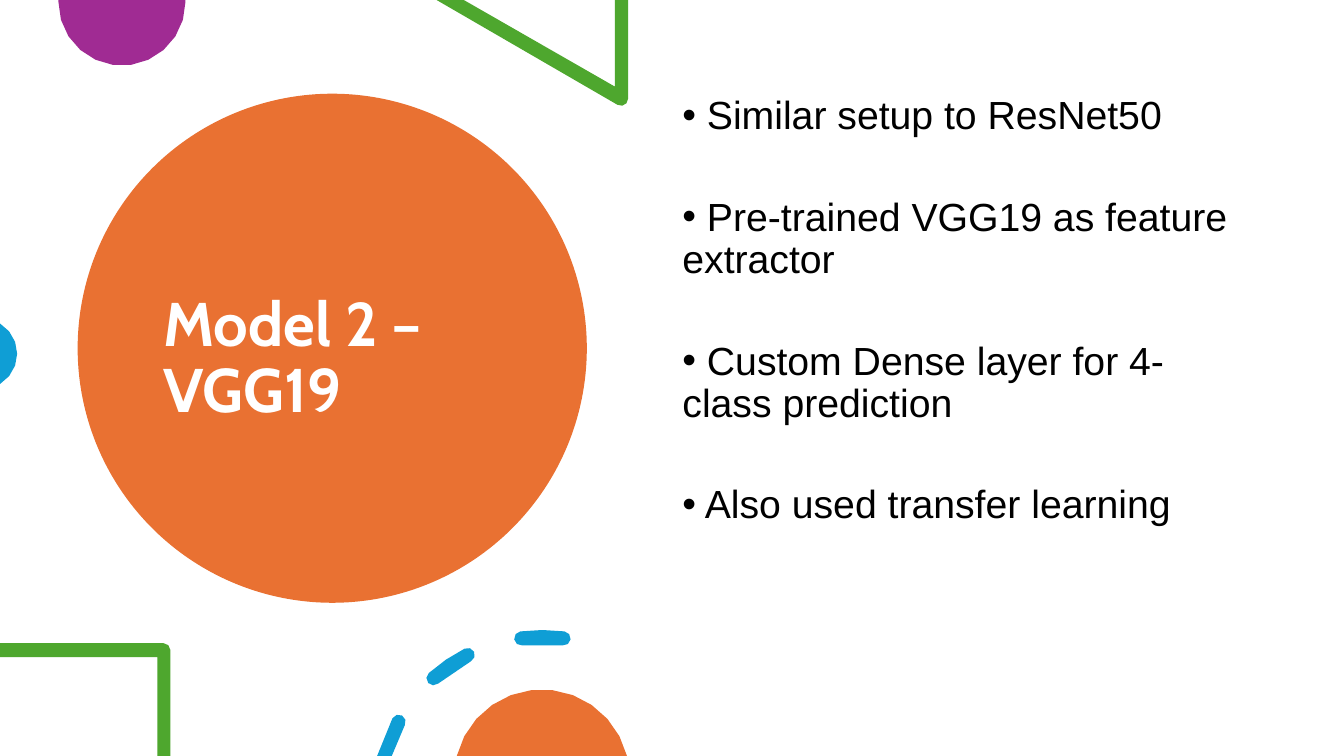
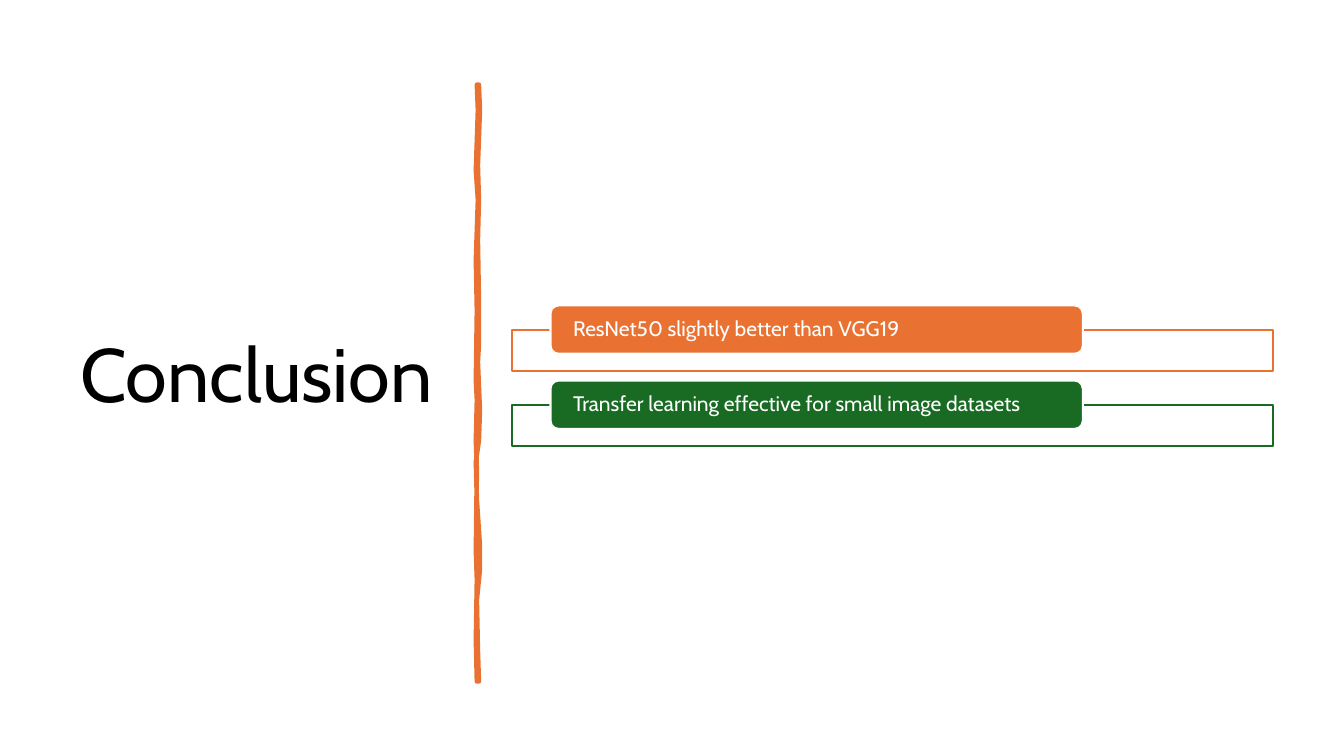
from dataclasses import dataclass
from math import acos, cos, degrees, radians, sin

from lxml.etree import SubElement
from pptx import Presentation
from pptx.dml.color import RGBColor
from pptx.enum.shapes import MSO_SHAPE as Preset
from pptx.enum.text import MSO_ANCHOR as Anchor, PP_ALIGN as Align
from pptx.oxml.ns import qn
from pptx.util import Inches, Pt


@dataclass(frozen=True)
class Theme:
    orange = RGBColor.from_string("E97132")
    green = RGBColor.from_string("4EA72E")
    forest = RGBColor.from_string("196B24")
    blue = RGBColor.from_string("0F9ED5")
    purple = RGBColor.from_string("A02B93")
    white = RGBColor.from_string("FFFFFF")
    black = RGBColor.from_string("000000")
    heading_font = "Cabin"
    body_font = "Arial"
    circle_title = Pt(44)
    plain_title = Pt(54)
    body = Pt(28)
    label = Pt(15)
    line_spacing = 0.9


theme = Theme()

# The slide is a grid of 1333 columns by 750 rows of square cells
COLUMNS, ROWS = 1333, 750
CELL = Inches(0.01)


def arc(center_x, center_y, radius, start, end):
    """Few points along a circle, within 0.6 cells of it; angles in degrees."""
    widest_step = degrees(2 * acos(1 - 0.6 / radius))
    steps = max(1, round(abs(end - start) / widest_step))
    angles = [radians(start + (end - start) * i / steps) for i in range(steps + 1)]
    return [(center_x + radius * cos(a), center_y - radius * sin(a)) for a in angles]


def write(shape, texts, font, size, color, bold=False, bullet=False, gap=0, inset=10):
    """Fill a shape with left-aligned paragraphs, one run each."""
    frame = shape.text_frame
    frame.word_wrap = True
    frame.margin_left = frame.margin_right = inset * CELL
    frame.margin_top = frame.margin_bottom = 5 * CELL
    frame.vertical_anchor = Anchor.TOP if bullet else Anchor.MIDDLE
    for index, text in enumerate(texts):
        paragraph = frame.paragraphs[0] if index == 0 else frame.add_paragraph()
        paragraph.alignment = Align.LEFT
        paragraph.line_spacing = theme.line_spacing
        if index:
            paragraph.space_before = Pt(gap)
        if bullet:
            properties = paragraph._p.get_or_add_pPr()
            SubElement(properties, qn("a:buFont")).set("typeface", theme.body_font)
            SubElement(properties, qn("a:buChar")).set("char", "•")
        run = paragraph.add_run()
        run.text = text
        run.font.name, run.font.size, run.font.bold = font, size, bold
        run.font.color.rgb = color


presentation = Presentation()
presentation.slide_width, presentation.slide_height = Inches(13.33), ROWS * CELL
blank = presentation.slide_layouts[6]
model_slide, conclusion_slide = [presentation.slides.add_slide(blank) for _ in range(2)]

# Title circle
circle = model_slide.shapes.add_shape(Preset.OVAL, *[n * CELL for n in (77, 93, 505, 505)])
circle.shadow.inherit = False
circle.fill.solid()
circle.fill.fore_color.rgb = theme.orange
circle.line.fill.background()

# Dashes of the ring around the lower circle; the first is cut by the slide edge
ring_x, ring_y, ring_radius, half_band = 538, 795, 163, 7
outer, inner = ring_radius + half_band, ring_radius - half_band
dashes = []
for start, end, is_cut in ((164, 151, True), (131.5, 117, False), (97.4, 82.6, False)):
    head, *_, tail = arc(ring_x, ring_y, ring_radius, start, end)
    dash = (arc(ring_x, ring_y, outer, start + 0.65 * is_cut, end)
            + arc(*tail, half_band, end, end - 180)[1:-1]
            + arc(ring_x, ring_y, inner, end, start - 0.8 * is_cut))
    if not is_cut:
        dash += arc(*head, half_band, start + 180, start)[1:-1]
    dashes.append(dash)

# Edges of the hand-drawn divider, top to bottom
divider_right = [(475, 84), (476, 109), (474, 164), (475, 198), (474, 238), (475, 298),
                 (475, 342), (474, 359), (476, 407), (475, 437), (472, 458), (473, 496),
                 (476, 541), (476, 565), (473, 595), (474, 645), (475, 676)]
divider_left = [(473, 84), (474, 109), (472, 169), (474, 198), (472, 258), (473, 308),
                (472, 377), (473, 397), (472, 437), (473, 466), (472, 546), (473, 575),
                (472, 635), (473, 676)]

# Freeform decorations, cut off at the slide edges
outlines = [
    (model_slide, theme.purple, [[(184, 0), (58, 0)] + arc(121, 2, 63, 180, 360)]),
    (model_slide, theme.green, [[(623, 0), (610, 0), (610, 86), (460, 0), (433, 0)]
                                + arc(616, 98, 7, -120, 0)]),
    (model_slide, theme.blue, [arc(-18, 351, 35, 59, -59)]),
    (model_slide, theme.green, [[(0, 638)] + arc(162, 645, 7, 90, 0)
                                + [(169, ROWS), (156, ROWS), (156, 652), (0, 652)]]),
    (model_slide, theme.blue, dashes),
    (model_slide, theme.orange, [arc(537.5, 771, 87, 166, 14)]),
    (conclusion_slide, theme.orange, [divider_right + divider_left[::-1]]),
]
for slide, color, contours in outlines:
    first, *others = [[(x * CELL, y * CELL) for x, y in contour] for contour in contours]
    builder = slide.shapes.build_freeform(*first[0])
    builder.add_line_segments(first[1:])
    for contour in others:
        builder.move_to(*contour[0])
        builder.add_line_segments(contour[1:])
    shape = builder.convert_to_shape()
    shape.shadow.inherit = False
    shape.fill.solid()
    shape.fill.fore_color.rgb = color
    if slide is conclusion_slide:
        shape.line.color.rgb = color
        shape.line.width = Pt(3.25)
        SubElement(shape.line._get_or_add_ln(), qn("a:round"))
    else:
        shape.line.fill.background()

# Titles
titles = [
    (model_slide, (152, 134, 354, 445), "Model 2 – VGG19",
     theme.circle_title, theme.white, True),
    (conclusion_slide, (70, 69, 374, 611), "Conclusion",
     theme.plain_title, theme.black, False),
]
for slide, cells, text, size, color, bold in titles:
    box = slide.shapes.add_textbox(*[n * CELL for n in cells])
    write(box, [text], theme.heading_font, size, color, bold)

# Bullet list: wrapped lines return to the bullet's own edge
bullet_box = model_slide.shapes.add_textbox(*[n * CELL for n in (667, 90, 575, 535)])
write(bullet_box, [
    " Similar setup to ResNet50",
    " Pre-trained VGG19 as feature extractor",
    " Custom Dense layer for 4-class prediction",
    " Also used transfer learning",
], theme.body_font, theme.body, theme.black, bullet=True, gap=42.3)

# Conclusions: a frame with a label over its top edge, one per row
conclusions = [
    ("ResNet50 slightly better than VGG19", theme.orange),
    ("Transfer learning effective for small image datasets", theme.forest),
]
for row, (text, color) in enumerate(conclusions):
    top = 303 + 74.5 * row
    parts = [
        (Preset.RECTANGLE, (508, top + 24, 755, 41), theme.white, color),
        (Preset.ROUNDED_RECTANGLE, (546, top, 528, 48), color, theme.white),
    ]
    for preset, cells, fill, line in parts:
        shape = conclusion_slide.shapes.add_shape(preset, *[int(n * CELL) for n in cells])
        shape.shadow.inherit = False
        shape.fill.solid()
        shape.fill.fore_color.rgb = fill
        shape.line.color.rgb = line
        shape.line.width = Pt(1.5)
    write(shape, [text], theme.heading_font, theme.label, theme.white, inset=20)

presentation.save("out.pptx")
